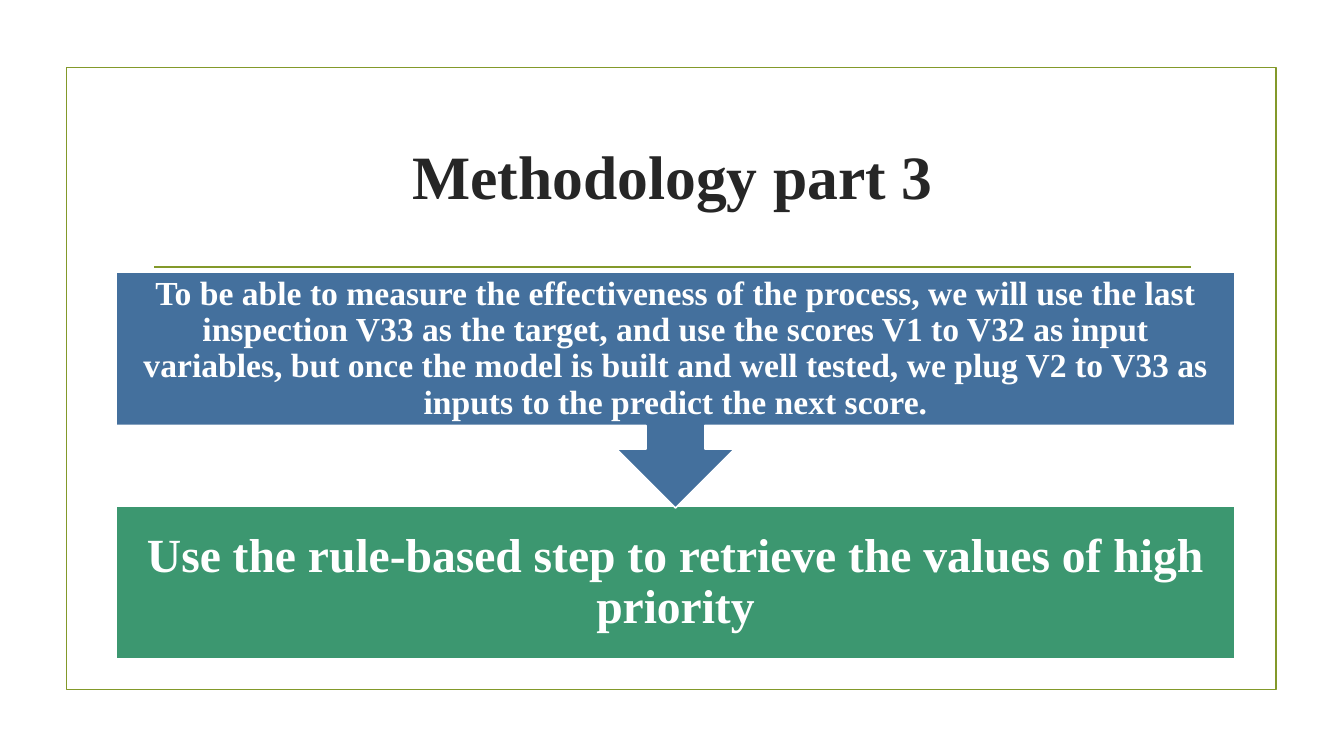
"""Builds the "Methodology part 3" slide with two process steps."""
from pptx import Presentation
from pptx.dml.color import RGBColor
from pptx.enum.shapes import MSO_CONNECTOR, MSO_SHAPE
from pptx.enum.text import MSO_ANCHOR, PP_ALIGN
from pptx.util import Inches, Pt
from lxml.etree import SubElement
from pptx.oxml.ns import qn

COLORS = {
    "olive": "83992A",
    "ink": "262626",
    "white": "FFFFFF",
    "blue": "44709D",
    "green": "3C9770",
}


def color(name):
    return RGBColor.from_string(COLORS[name])


def write(shape, text, size, ink, inset):
    frame = shape.text_frame
    frame.text = text
    frame.word_wrap = True
    frame.vertical_anchor = MSO_ANCHOR.MIDDLE
    frame.margin_left = frame.margin_right = Inches(inset)
    frame.margin_top = frame.margin_bottom = Inches(inset)
    paragraph = frame.paragraphs[0]
    paragraph.alignment = PP_ALIGN.CENTER
    paragraph.line_spacing = 0.9
    font = paragraph.runs[0].font
    font.name = "Times New Roman"
    font.size = Pt(size)
    font.bold = True
    font.color.rgb = color(ink)


presentation = Presentation()
presentation.slide_width = Inches(13.33)
presentation.slide_height = Inches(7.5)
slide = presentation.slides.add_slide(presentation.slide_layouts[5])

border = slide.shapes.add_shape(
    MSO_SHAPE.RECTANGLE, Inches(0.66), Inches(0.67), Inches(12), Inches(6.17))
border.shadow.inherit = False
border.fill.background()
border.line.color.rgb = color("olive")
border.line.width = Pt(1.25)

title_rule = slide.shapes.add_connector(
    MSO_CONNECTOR.STRAIGHT, Inches(1.53), Inches(2.65), Inches(11.81), Inches(2.65))
title_rule.line.color.rgb = color("olive")
title_rule.line.width = Pt(1.25)
SubElement(title_rule.element.spPr, qn("a:effectLst"))

title = slide.shapes.title
title.left, title.top = Inches(1.42), Inches(1.07)
title.width, title.height = Inches(10.5), Inches(1.43)
write(title, "Methodology part 3", 44, "ink", 0.1)

STEPS = [
    (MSO_SHAPE.RECTANGLE, 5.02, 1.52, "green", 34, 0.26,
     "Use the rule-based step to retrieve the values of high priority"),
    (MSO_SHAPE.DOWN_ARROW_CALLOUT, 2.7, 2.34, "blue", 24, 0.19,
     "To be able to measure the effectiveness of the process, we will use the "
     "last inspection V33 as the target, and use the scores V1 to V32 as input "
     "variables, but once the model is built and well tested, we plug V2 to V33 "
     "as inputs to the predict the next score."),
]
for outline, top, height, fill, size, inset, text in STEPS:
    step = slide.shapes.add_shape(
        outline, Inches(1.15), Inches(top), Inches(11.1), Inches(height))
    step.shadow.inherit = False
    step.fill.solid()
    step.fill.fore_color.rgb = color(fill)
    step.line.color.rgb = color("white")
    step.line.width = Pt(1.25)
    write(step, text, size, "white", inset)

presentation.save("out.pptx")
